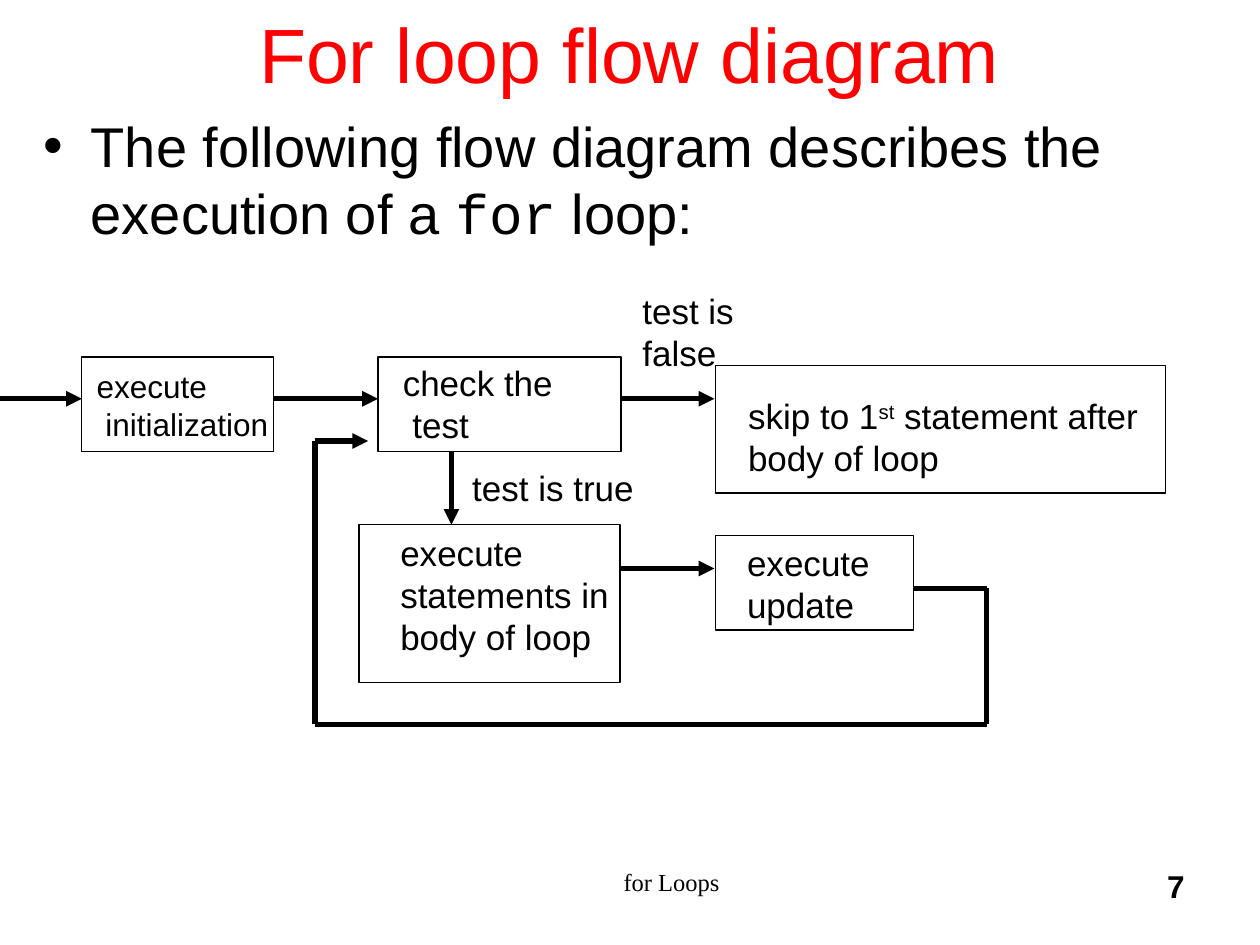
from dataclasses import dataclass
from itertools import pairwise

from lxml.etree import SubElement
from pptx import Presentation
from pptx.dml.color import RGBColor
from pptx.enum.shapes import MSO_CONNECTOR, MSO_SHAPE
from pptx.enum.text import MSO_ANCHOR, PP_ALIGN
from pptx.oxml.ns import qn
from pptx.util import Cm, Pt


@dataclass(frozen=True)
class Theme:
    ink: RGBColor = RGBColor(0, 0, 0)
    accent: RGBColor = RGBColor(255, 0, 0)
    sans: str = "Arial"
    mono: str = "Courier New"
    serif: str = "Times New Roman"
    title: Pt = Pt(44)
    body: Pt = Pt(32)
    label: Pt = Pt(20)
    small: Pt = Pt(18)
    footer: Pt = Pt(14)
    outline: Pt = Pt(0.75)
    flow: Pt = Pt(3)


theme = Theme()
deck = Presentation()
deck.slide_width, deck.slide_height = Cm(25.4), Cm(19.05)
page = deck.slides.add_slide(deck.slide_layouts[5])


def add_text(place, text, size, before=0, font=theme.sans):
    box = page.shapes.add_textbox(*map(Cm, place))
    box.text_frame.word_wrap = True
    para = box.text_frame.paragraphs[0]
    para.text = text
    para.space_before = Pt(before)
    para.font.size, para.font.name = size, font
    para.font.color.rgb = theme.ink
    return para


def add_flow(start, end, arrow=True):
    line = page.shapes.add_connector(MSO_CONNECTOR.STRAIGHT, *map(Cm, start + end))
    line.line.width = theme.flow
    line.line.color.rgb = theme.ink
    if arrow:
        SubElement(line.line._get_or_add_ln(), qn("a:tailEnd"), type="triangle")
    SubElement(line._element.spPr, qn("a:effectLst"))


# Title
title = page.shapes.title
title.left, title.top, title.width, title.height = map(Cm, (1.9, 0, 21.59, 2.12))
title.text_frame.text = "For loop flow diagram"
title.text_frame.vertical_anchor = MSO_ANCHOR.MIDDLE
para = title.text_frame.paragraphs[0]
para.alignment = PP_ALIGN.CENTER
para.font.size, para.font.name = theme.title, theme.sans
para.font.color.rgb = theme.accent

# Introduction, with a hanging bullet
para = add_text((0.63, 2.12, 24.13, 3.2),
                "The following flow diagram describes the execution of a ", theme.body)
span = para.add_run()
span.text = "for"
span.font.name = theme.mono
para.add_run().text = " loop:"
properties = para._p.get_or_add_pPr()
properties.set("marL", str(Cm(0.95)))
properties.set("indent", str(Cm(-0.95)))
defaults = properties.find(qn("a:defRPr"))
defaults.addprevious(SubElement(properties, qn("a:buFont"), typeface=theme.sans))
defaults.addprevious(SubElement(properties, qn("a:buChar"), char="•"))

# Step boxes
steps = [
    (1.65, 7.2, 3.86, 1.9),     # initialization
    (7.62, 7.2, 4.9, 1.9),      # test
    (14.43, 7.37, 9.07, 2.57),  # after the loop
    (7.24, 10.58, 5.26, 3.18),  # loop body
    (14.43, 10.8, 3.99, 1.9),   # update
]
for place in steps:
    step = page.shapes.add_shape(MSO_SHAPE.RECTANGLE, *map(Cm, place))
    step.shadow.inherit = False
    step.fill.background()
    step.line.width = theme.outline
    step.line.color.rgb = theme.ink

# Step and branch labels
add_text((1.7, 7.27, 4.2, 1.78), "execute\v initialization", theme.small, 4.5)
labels = [
    ((7.87, 7.17, 3.8, 1.96), "check the\v test"),
    ((12.7, 5.72, 2.97, 1.96), "test is false"),
    ((9.27, 9.27, 4.1, 1.12), "test is true"),
    ((7.82, 10.58, 5, 2.79), "execute\vstatements in\vbody of loop"),
    ((14.81, 10.8, 3.3, 1.96), "execute\vupdate"),
]
for place, text in labels:
    add_text(place, text, theme.label, 5)

para = add_text((14.83, 7.83, 8.65, 1.96), "skip to 1", theme.label, 5)
span = para.add_run()
span.text = "st"
span._r.get_or_add_rPr().set("baseline", "30000")
para.add_run().text = " statement after"
para.add_line_break()
para.add_run().text = "body of loop"

# Arrows between steps
arrows = [
    ((0, 8.04), (1.65, 8.04)),
    ((5.51, 8.04), (7.62, 8.04)),
    ((12.5, 8.04), (14.4, 8.04)),
    ((9.1, 9.1), (9.1, 10.58)),
    ((12.5, 11.46), (14.4, 11.46)),
]
for start, end in arrows:
    add_flow(start, end)

# Return path from the update to the test
corners = [(18.42, 11.86), (19.89, 11.86), (19.89, 14.6),
           (6.35, 14.6), (6.35, 8.89), (7.42, 8.89)]
for start, end in pairwise(corners):
    add_flow(start, end, arrow=end == corners[-1])

# Footer and page number
para = add_text((8.46, 17.35, 10.16, 1.27), "for Loops", theme.footer, font=theme.serif)
para.alignment = PP_ALIGN.CENTER
para = add_text((18.85, 17.35, 5.28, 1.27), "7", theme.small)
para.alignment = PP_ALIGN.RIGHT
para.font.bold = True

deck.save("out.pptx")
